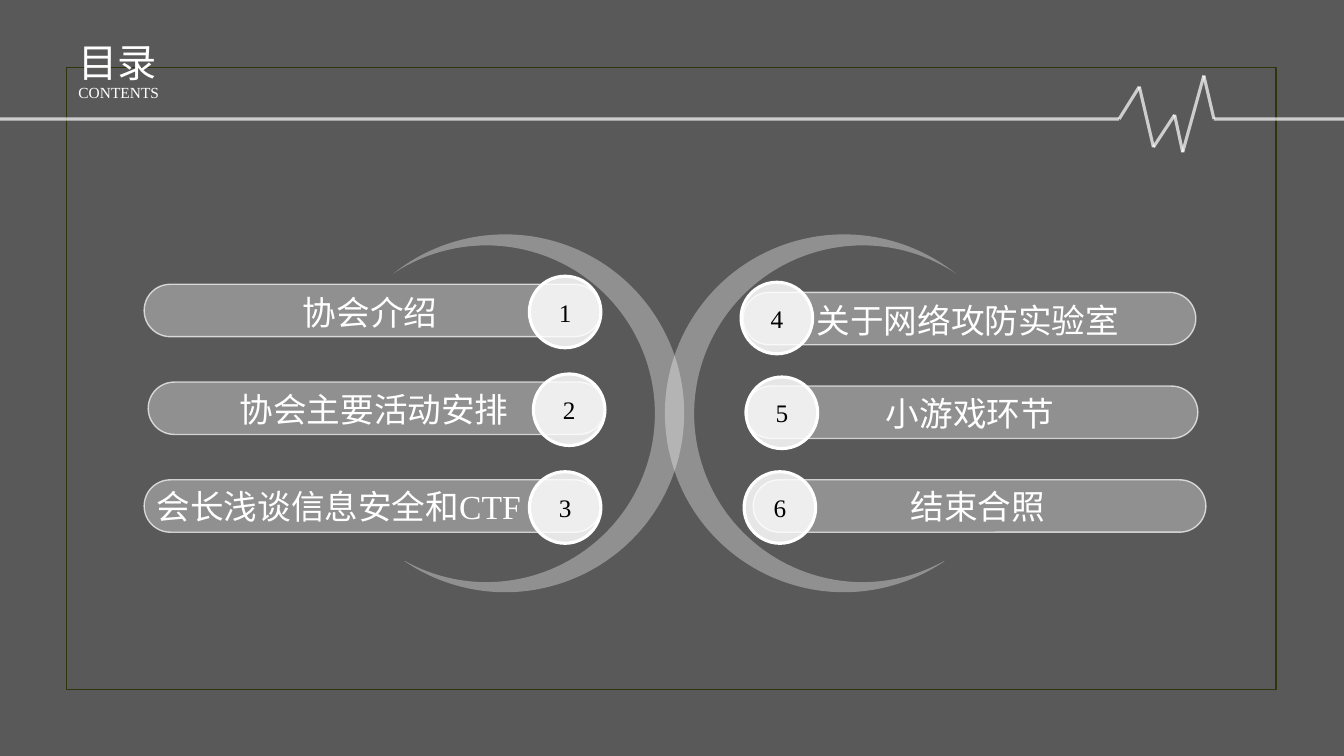
from dataclasses import dataclass
from itertools import pairwise
from math import cos, radians, sin, tan

from lxml import etree
from pptx import Presentation
from pptx import util as u
from pptx.dml.color import RGBColor
from pptx.enum import shapes, text
from pptx.oxml.ns import qn

PX = 9144  # EMU per px, 100 px to the inch
WHITE = RGBColor(0xFF, 0xFF, 0xFF)
BLACK = RGBColor(0, 0, 0)
PALE = RGBColor(0xFC, 0xFC, 0xFC)
OLIVE = RGBColor(0x83, 0x99, 0x2A)
FONT = "Times New Roman"
KIND = shapes.MSO_SHAPE
CENTER = text.PP_ALIGN.CENTER
LEFT = text.PP_ALIGN.LEFT

Point = tuple[float, float]
Box = tuple[int, int, int, int]


@dataclass(frozen=True)
class Entry:
    num: int
    label: str
    pill: Box
    disc: Point
    label_at: Point


@dataclass(frozen=True)
class Arc:
    x: float
    y: float
    radius: float
    stops: tuple[float, ...]

    def at(self, angle: float, pull: float = 0) -> Point:
        """Point at an angle, moved along the tangent by pull radii."""
        c, s = cos(angle), sin(angle)
        return (self.x + self.radius * (c - pull * s),
                self.y + self.radius * (s + pull * c))

    def curves(self) -> list[Point]:
        """Three Bezier points for each step from stop to stop."""
        points = []
        for a, b in pairwise(map(radians, self.stops)):
            pull = 4 / 3 * tan((b - a) / 4)
            points += [self.at(a, pull), self.at(b, -pull), self.at(b)]
        return points


ENTRIES = [
    Entry(1, "协会介绍", (143, 282, 453, 52), (525, 274), (139, 285)),
    Entry(2, "协会主要活动安排", (147, 379, 453, 52), (529, 371), (143, 381)),
    Entry(3, "会长浅谈信息安全和CTF", (143, 476, 453, 52), (525, 468), (108, 477)),
    Entry(4, "关于网络攻防实验室", (737, 290, 449, 52), (735, 280), (732, 293)),
    Entry(5, "小游戏环节", (739, 383, 449, 52), (740, 374), (734, 385)),
    Entry(6, "结束合照", (747, 476, 449, 52), (738, 468), (742, 477)),
]
PULSE = [(0, 118), (1110, 118), (1130, 86), (1144, 146), (1165, 114),
         (1173, 151), (1194, 75), (1204, 118), (1333, 118)]
OUTER = Arc(500.3, 414.5, 177.5, (-146.6, -90, 0, 90, 106.4))
INNER = Arc(482.8, 420.6, 167, (101.3, 90, 0, -90, -141.5))
TILT = 17.8
MIRROR = 1338  # sum of the x values of a point and its mirror twin


def emu(*values: float) -> list[int]:
    return [round(v * PX) for v in values]


def fade(color, percent: int) -> None:
    """Set the opacity of a solid fill or line, given its a:solidFill parent."""
    if percent < 100:
        node = color.find(qn("a:solidFill"))[0]
        etree.SubElement(node, qn("a:alpha"), val=str(percent * 1000))


def paint(shape, fill=None, alpha=100, line=None, width=0, see=100) -> None:
    shape.shadow.inherit = False
    props = shape._element.spPr
    if fill is None:
        shape.fill.background()
    else:
        shape.fill.solid()
        shape.fill.fore_color.rgb = fill
        fade(props, alpha)
    if line is None:
        shape.line.fill.background()
    else:
        shape.line.color.rgb = line
        shape.line.width = u.Pt(width)
        fade(props.find(qn("a:ln")), see)


def add_form(slide, kind, box: Box, **look):
    shape = slide.shapes.add_shape(kind, *emu(*box))
    paint(shape, **look)
    return shape


def write(frame, words: str, size: int, color: RGBColor, align=CENTER,
          anchor=text.MSO_ANCHOR.TOP, spacing: float = 1.0) -> None:
    frame.word_wrap = True
    frame.vertical_anchor = anchor
    par = frame.paragraphs[0]
    par.alignment = align
    par.line_spacing = spacing
    run = par.add_run()
    run.text = words
    for name, value in {"name": FONT, "size": u.Pt(size)}.items():
        setattr(run.font, name, value)
    run.font.color.rgb = color


def add_text(slide, box: Box, words: str, size: int, **style) -> None:
    label = slide.shapes.add_textbox(*emu(*box))
    write(label.text_frame, words, size, WHITE, **style)


def add_pulse(slide) -> None:
    for start, end in pairwise(PULSE):
        line = slide.shapes.add_connector(
            shapes.MSO_CONNECTOR.STRAIGHT, *emu(*start, *end))
        line.line.color.rgb = WHITE
        line.line.width = u.Pt(2.25)
        props = line._element.spPr
        fade(props.find(qn("a:ln")), 70)
        etree.SubElement(props, qn("a:effectLst"))


def bend(shape) -> None:
    """Turn each three line segments of an outline into one Bezier curve."""
    lines = list(shape._element.iter(qn("a:lnTo")))
    for first, second, third in zip(lines[::3], lines[1::3], lines[2::3]):
        first.tag = qn("a:cubicBezTo")
        for line in (second, third):
            first.append(line[0])
            line.getparent().remove(line)


def add_moon(slide, flip: bool) -> None:
    """Draw a crescent upright, then tilt it; flip gives the right-hand one."""
    start = OUTER.at(radians(OUTER.stops[0]))
    tip = INNER.at(radians(INNER.stops[0]))
    points = [start, *OUTER.curves(), tip, tip, tip, *INNER.curves()]
    first, *rest = [emu(MIRROR - x if flip else x, y) for x, y in points]
    pen = slide.shapes.build_freeform(*first)
    pen.add_line_segments(rest, close=True)
    moon = pen.convert_to_shape()
    bend(moon)
    moon.rotation = 360 - TILT if flip else TILT
    paint(moon, fill=PALE, alpha=34)


def add_entry(slide, entry: Entry) -> None:
    pill = add_form(slide, KIND.ROUNDED_RECTANGLE, entry.pill, fill=PALE,
                    alpha=34, line=WHITE, width=1, see=70)
    pill.adjustments[0] = 0.5
    disc = add_form(slide, KIND.OVAL, (*entry.disc, 71, 71), fill=WHITE,
                    alpha=85, line=WHITE, width=2.25)
    write(disc.text_frame, str(entry.num), 18, BLACK,
          anchor=text.MSO_ANCHOR.MIDDLE)
    add_text(slide, (*entry.label_at, 456, 50), entry.label, 24)


def main() -> None:
    deck = Presentation()
    deck.slide_width, deck.slide_height = emu(1333, 750)
    slide = deck.slides.add_slide(deck.slide_layouts[6])
    add_form(slide, KIND.RECTANGLE, (66, 67, 1200, 617), line=OLIVE, width=1.25)
    add_form(slide, KIND.RECTANGLE, (0, 0, 1333, 750), fill=BLACK, alpha=65)
    add_pulse(slide)
    add_text(slide, (68, 33, 388, 57), "目录", 28, align=LEFT)
    add_text(slide, (68, 75, 435, 30), "CONTENTS", 11, align=LEFT, spacing=1.14)
    for flip in (False, True):
        add_moon(slide, flip)
    for entry in ENTRIES:
        add_entry(slide, entry)
    deck.save("out.pptx")


if __name__ == "__main__":
    main()
